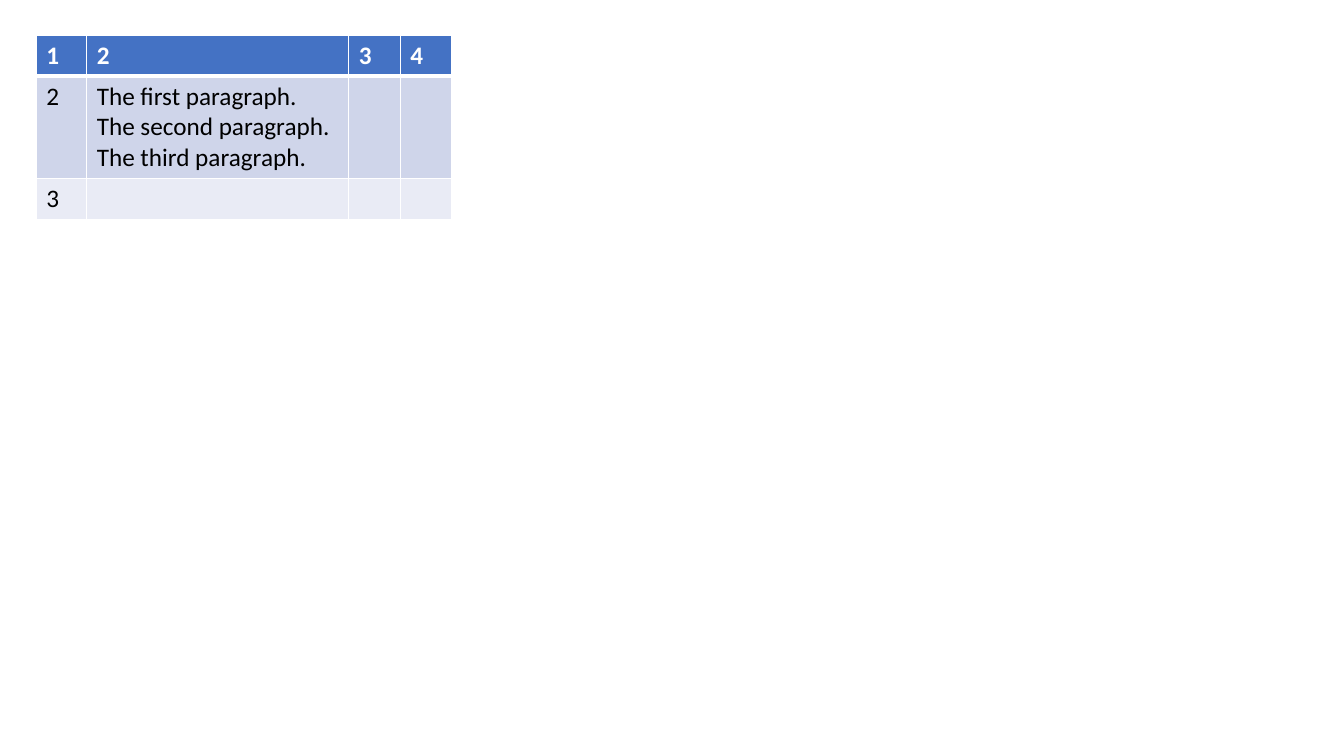
from lxml import etree
from pptx import Presentation
from pptx.dml.color import RGBColor
from pptx.oxml.ns import qn
from pptx.util import Inches, Pt

BLANK_LAYOUT = 6
HEADER_FILL = "4472C4"
BAND_FILLS = ("CFD5EA", "E9EBF5")
WHITE, BLACK = "FFFFFF", "000000"


def colour(value):
    return RGBColor.from_string(value)


class SlideBuilder:
    font_name = "Calibri"
    font_size = 18

    def __init__(self, page):
        self.page = page

    def border(self, cell, widths):
        properties = cell._tc.get_or_add_tcPr()
        for position, (side, width) in enumerate(widths.items()):
            line = etree.Element(qn(f"a:ln{side}"), w=str(Pt(width)))
            fill = etree.SubElement(line, qn("a:solidFill"))
            etree.SubElement(fill, qn("a:srgbClr"), val=WHITE)
            properties.insert(position, line)

    def style_cell(self, cell, row):
        header = row == 0
        cell.fill.solid()
        fill = HEADER_FILL if header else BAND_FILLS[(row - 1) % 2]
        cell.fill.fore_color.rgb = colour(fill)
        self.border(cell, {"L": 1, "R": 1, "T": 3 if row == 1 else 1, "B": 3 if header else 1})
        for para in cell.text_frame.paragraphs:
            for span in para.runs:
                span.font.name = self.font_name
                span.font.size = Pt(self.font_size)
                span.font.bold = header
                span.font.color.rgb = colour(WHITE if header else BLACK)

    def table(self, left, top, widths, heights, rows):
        frame = self.page.shapes.add_table(
            len(heights), len(widths), Inches(left), Inches(top),
            Inches(sum(widths)), Inches(sum(heights)))
        table = frame.table
        for column, width in zip(table.columns, widths):
            column.width = Inches(width)
        for row, height in zip(table.rows, heights):
            row.height = Inches(height)
        for row_index, texts in enumerate(rows):
            for column_index, text in enumerate(texts):
                cell = table.cell(row_index, column_index)
                if text:
                    cell.text_frame.text = text
                self.style_cell(cell, row_index)


def main():
    deck = Presentation()
    deck.slide_width, deck.slide_height = Inches(13.33), Inches(7.5)
    builder = SlideBuilder(deck.slides.add_slide(deck.slide_layouts[BLANK_LAYOUT]))
    paragraphs = "\n".join(f"The {order} paragraph." for order in ("first", "second", "third"))
    builder.table(0.36, 0.35, (0.5, 2.6, 0.51, 0.51), (0.4, 1, 0.4), (
        ("1", "2", "3", "4"),
        ("2", paragraphs, "", ""),
        ("3", "", "", ""),
    ))
    deck.save("out.pptx")


if __name__ == "__main__":
    main()
